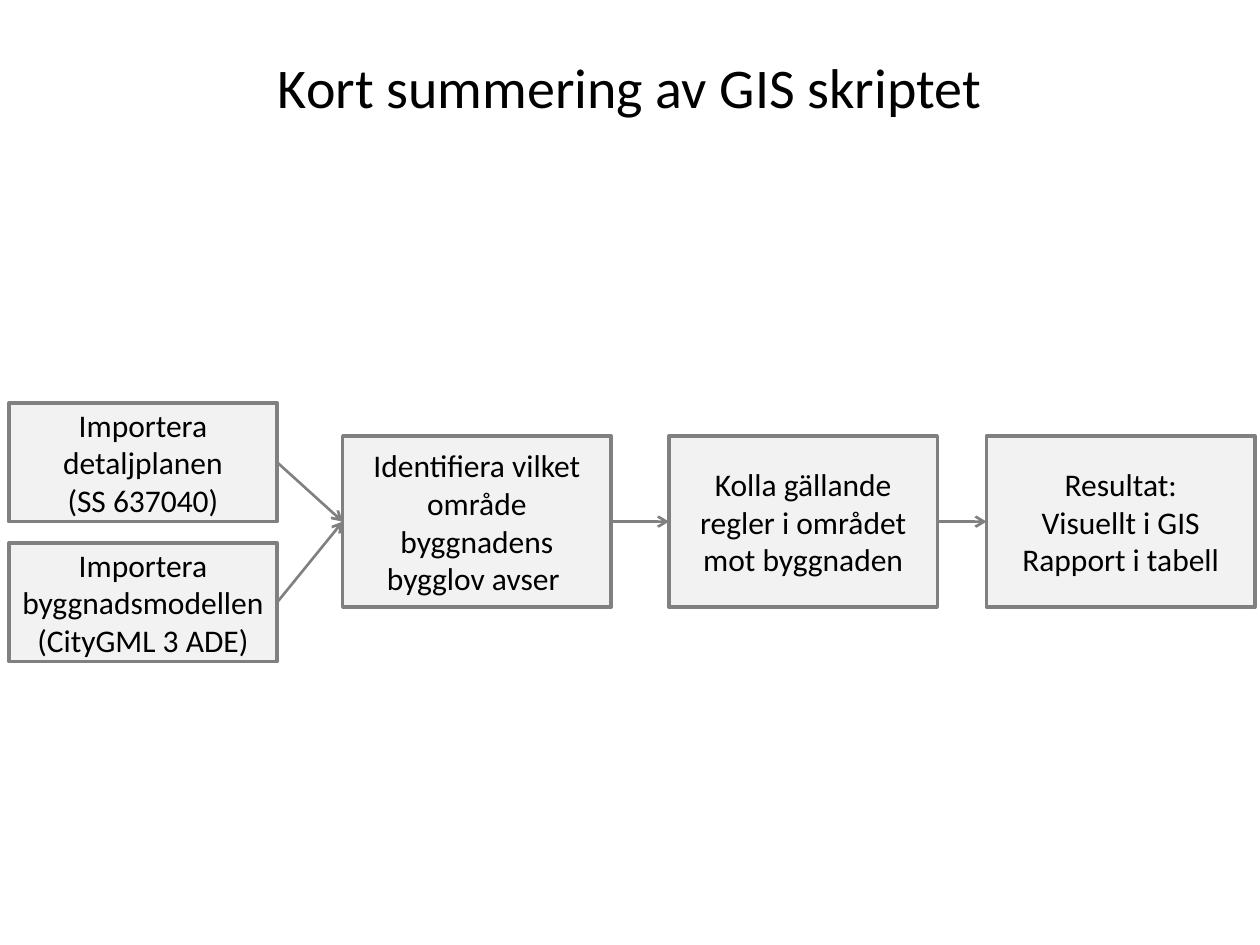
from pptx import Presentation
from pptx.dml.color import RGBColor
from pptx.enum.shapes import MSO_CONNECTOR, MSO_SHAPE
from pptx.enum.text import MSO_ANCHOR, PP_ALIGN
from pptx.oxml.ns import qn
from pptx.util import Inches, Pt
from lxml import etree

RECTANGLE = MSO_SHAPE.RECTANGLE
STRAIGHT = MSO_CONNECTOR.STRAIGHT
CENTER = PP_ALIGN.CENTER
MIDDLE = MSO_ANCHOR.MIDDLE

BLACK = RGBColor(0x00, 0x00, 0x00)
LIGHT_GRAY = RGBColor(0xF2, 0xF2, 0xF2)
GRAY = RGBColor(0x80, 0x80, 0x80)

LEFT, RIGHT = 1, 3
BOX_W = 2.13
IMPORT_H, STEP_H = 0.94, 1.36


def write_lines(tf, lines, size):
    """Fill a text frame with one centred paragraph for each line."""
    tf.word_wrap = True
    tf.vertical_anchor = MIDDLE
    for i, line in enumerate(lines):
        p = tf.paragraphs[0] if i == 0 else tf.add_paragraph()
        p.alignment = CENTER
        r = p.add_run()
        r.text = line
        for name, value in {"name": "Calibri", "size": Pt(size)}.items():
            setattr(r.font, name, value)
        r.font.color.rgb = BLACK


def add_title(s, text, left, top, width, height):
    title = s.shapes.title
    box = {"left": left, "top": top, "width": width, "height": height}
    for name, value in box.items():
        setattr(title, name, Inches(value))
    write_lines(title.text_frame, [text], 32)


def add_box(s, lines, left, top, height):
    sp = s.shapes.add_shape(RECTANGLE, Inches(left), Inches(top),
                            Inches(BOX_W), Inches(height))
    sp.shadow.inherit = False
    sp.fill.solid()
    sp.fill.fore_color.rgb = LIGHT_GRAY
    sp.line.color.rgb = GRAY
    sp.line.width = Pt(2)
    write_lines(sp.text_frame, lines, 18)
    return sp


def add_arrow(s, source, target):
    """Join the right side of source to the left side of target."""
    arrow = s.shapes.add_connector(STRAIGHT, 0, 0, 0, 0)
    arrow.begin_connect(source, RIGHT)
    arrow.end_connect(target, LEFT)
    arrow.line.color.rgb = GRAY
    arrow.line.width = Pt(1.5)
    etree.SubElement(arrow.line._get_or_add_ln(), qn("a:tailEnd"), type="arrow")
    etree.SubElement(arrow._element.spPr, qn("a:effectLst"))


def add_flow(s, left, top):
    """Draw two import boxes that lead into a row of three steps."""
    imports = [
        ["Importera detaljplanen", "(SS 637040)"],
        ["Importera byggnadsmodellen", "(CityGML 3 ADE)"],
    ]
    steps = [
        (2.65, ["Identifiera vilket område byggnadens bygglov avser "]),
        (5.24, ["Kolla gällande regler i området mot byggnaden"]),
        (7.76, ["Resultat:", "Visuellt i GIS", "Rapport i tabell"]),
    ]
    import_boxes = [add_box(s, lines, left, top + i * 1.11, IMPORT_H)
                    for i, lines in enumerate(imports)]
    step_boxes = [add_box(s, lines, left + offset, top + 0.26, STEP_H)
                  for offset, lines in steps]
    for box in import_boxes:
        add_arrow(s, box, step_boxes[0])
    for source, target in zip(step_boxes, step_boxes[1:]):
        add_arrow(s, source, target)


def main():
    prs = Presentation()
    prs.slide_width, prs.slide_height = Inches(10), Inches(7.5)
    s = prs.slides.add_slide(prs.slide_layouts[5])
    add_title(s, "Kort summering av GIS skriptet", 0, 0.36, 10, 0.64)
    add_flow(s, 0.07, 3.2)
    prs.save("out.pptx")


if __name__ == "__main__":
    main()
